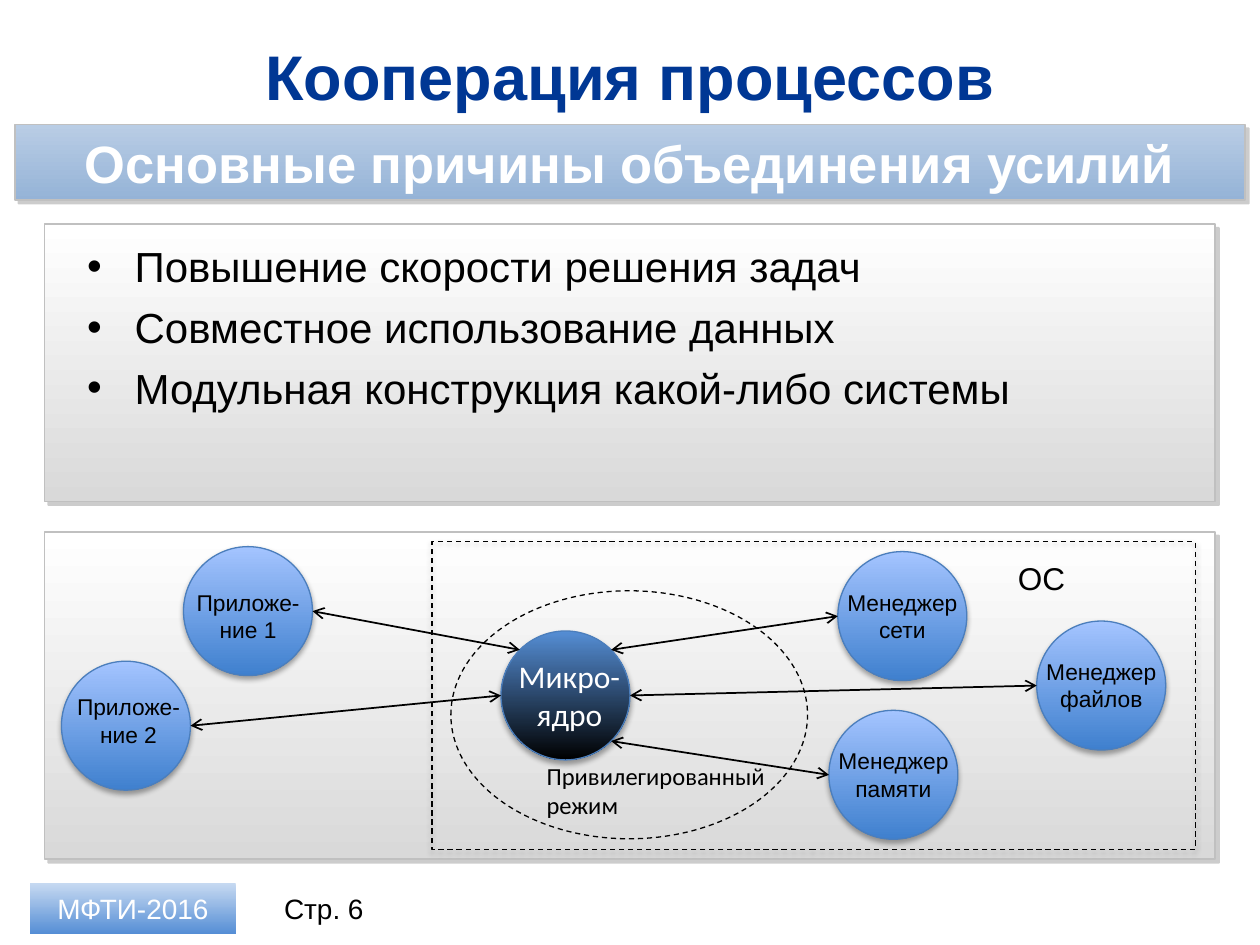
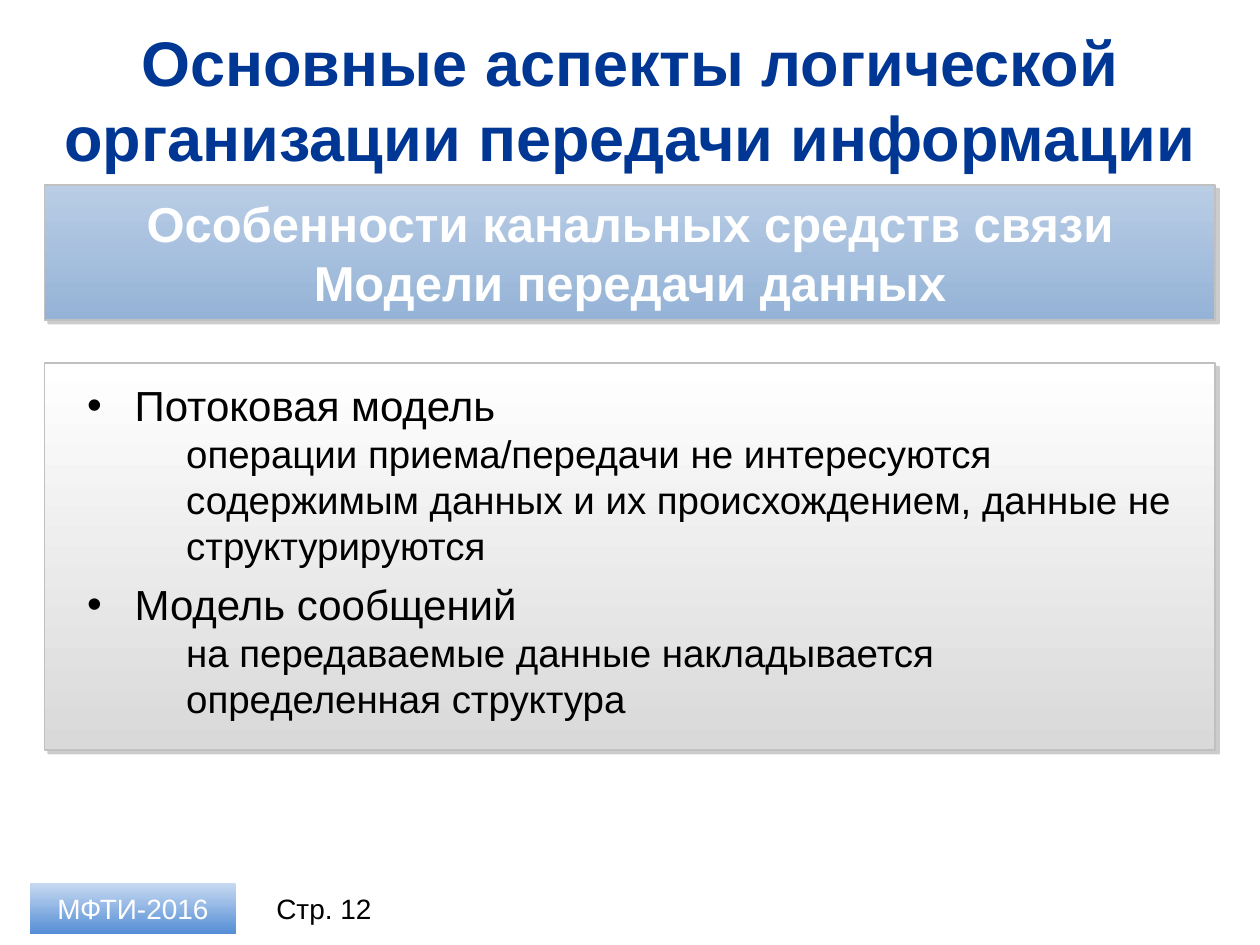
from dataclasses import dataclass
from math import cos, radians, sin
from typing import Any, NamedTuple

from lxml import etree
from pptx import Presentation
from pptx import util as u
from pptx.dml.color import RGBColor
from pptx.enum import dml, shapes, text
from pptx.oxml import ns

NAVY, BLACK, WHITE = "003794", "000000", "FFFFFF"
HEADER_GRAD = ("B9CDE5", "95B3D7")
PANEL_GRAD = ("FFFFFF", "D9D9D9")
BADGE_GRAD = ("C6D9F1", "558ED5")
NODE_GRAD = ("A4C4FF", "3F80CE")
KERNEL_GRAD = ("558ED5", "000000")
PANEL_LINE, NODE_LINE = "C0C0C0", "4B7EBC"
PANEL_LEFT, PANEL_WIDTH = 0.9, 23.6
RADIUS = 1.3
CENTER, LEFT = text.PP_ALIGN.CENTER, text.PP_ALIGN.LEFT


class Box(NamedTuple):
    left: float
    top: float
    width: float
    height: float


class Font(NamedTuple):
    size: float
    color: str = BLACK
    bold: bool = False
    name: str = "Arial"


class Shadow(NamedTuple):
    color: str
    alpha: int
    blur: float
    dist: float
    angle: int


class Item(NamedTuple):
    words: str
    sub: bool = False


@dataclass(frozen=True)
class Node:
    x: float
    y: float
    lines: tuple[str, ...]
    grad: tuple[str, str] = NODE_GRAD
    font: Font = Font(13)
    dx: float = 0
    dy: float = 0

    def edge(self, angle: float) -> tuple[float, float]:
        a = radians(angle)
        return self.x + RADIUS * cos(a), self.y + RADIUS * sin(a)


@dataclass(frozen=True)
class Link:
    kernel_angle: float
    node: Node
    node_angle: float


PANEL_SHADOW = Shadow("808080", 40, 0, 3, 45)
NODE_SHADOW = Shadow("000000", 35, 3.1, 1.8, 90)

KERNEL = Node(11.4, 14.02, ("Микро-", "ядро"), KERNEL_GRAD, Font(18, WHITE, name="Calibri"), 0.08)
NETWORK = Node(18.19, 12.42, ("Менеджер сети",))
FILES = Node(22.2, 13.82, ("Менеджер файлов",))
MEMORY = Node(18.01, 15.62, ("Менеджер памяти",))
APP1 = Node(5, 12.32, ("Приложе-ние 1",), dy=0.1)
APP2 = Node(2.54, 14.63, ("Приложе-ние 2",), dx=0.05, dy=-0.1)
NODES = (KERNEL, NETWORK, FILES, MEMORY, APP1, APP2)
LINKS = (
    Link(-45, NETWORK, 180),
    Link(0, FILES, 180),
    Link(45, MEMORY, 180),
    Link(-135, APP1, 0),
    Link(180, APP2, 0),
)


def rgb(value: str) -> RGBColor:
    return RGBColor.from_string(value)


def cm(values: Any) -> list[int]:
    return [u.Cm(v) for v in values]


def add(parent: Any, tag: str, **attrs: Any) -> Any:
    return etree.SubElement(parent, ns.qn(tag), {k: str(v) for k, v in attrs.items()})


def add_run(p: Any, words: str, font: Font) -> None:
    r = p.add_run()
    r.text = words
    r.font.name = font.name
    r.font.size = u.Pt(font.size)
    r.font.bold = font.bold
    r.font.color.rgb = rgb(font.color)


def write(tf: Any, lines: tuple[str, ...], font: Font, align: Any = CENTER,
          anchor: Any = text.MSO_ANCHOR.MIDDLE) -> None:
    tf.word_wrap = True
    tf.vertical_anchor = anchor
    for i, line in enumerate(lines):
        p = tf.add_paragraph() if i else tf.paragraphs[0]
        p.alignment = align
        add_run(p, line, font)


def place(sp: Any, box: Box) -> None:
    sp.left, sp.top, sp.width, sp.height = cm(box)


def add_text(s: Any, box: Box, lines: tuple[str, ...], font: Font, align: Any = CENTER,
             anchor: Any = text.MSO_ANCHOR.TOP) -> None:
    write(s.shapes.add_textbox(*cm(box)).text_frame, lines, font, align, anchor)


def add_box(s: Any, box: Box, grad: tuple[str, str] | None = None, line: str | None = None,
            width: float = 0.75, shadow: Shadow | None = None, oval: bool = False,
            dashed: bool = False) -> Any:
    kind = shapes.MSO_SHAPE.OVAL if oval else shapes.MSO_SHAPE.RECTANGLE
    sp = s.shapes.add_shape(kind, *cm(box))
    if grad:
        sp.fill.gradient()
        sp.fill.gradient_angle = 270
        for stop, color in zip(sp.fill.gradient_stops, grad):
            stop.color.rgb = rgb(color)
    else:
        sp.fill.background()
    if line:
        sp.line.color.rgb = rgb(line)
        sp.line.width = u.Pt(width)
    else:
        sp.line.fill.background()
    if dashed:
        sp.line.dash_style = dml.MSO_LINE.DASH
    sp.shadow.inherit = False
    if shadow:
        effects = sp.element.spPr.find(ns.qn("a:effectLst"))
        outer = add(effects, "a:outerShdw", blurRad=u.Pt(shadow.blur), dist=u.Pt(shadow.dist),
                    dir=shadow.angle * 60000, algn="ctr", rotWithShape=0)
        color = add(outer, "a:srgbClr", val=shadow.color)
        add(color, "a:alpha", val=shadow.alpha * 1000)
    return sp


def add_panel(s: Any, top: float, height: float) -> None:
    add_box(s, Box(PANEL_LEFT, top, PANEL_WIDTH, height), PANEL_GRAD, PANEL_LINE, 1, PANEL_SHADOW)


def add_header(s: Any, box: Box, lines: tuple[str, ...], size: float) -> None:
    tf = add_box(s, box, HEADER_GRAD, PANEL_LINE, 1, PANEL_SHADOW).text_frame
    tf.margin_left = tf.margin_right = u.Cm(0.6)
    tf.margin_top = tf.margin_bottom = u.Cm(0.1)
    write(tf, lines, Font(size, WHITE, True))


def add_list(s: Any, box: Box, items: tuple[Item, ...]) -> None:
    body = s.placeholders[1]
    place(body, box)
    body.element.getparent().append(body.element)
    tf = body.text_frame
    tf.word_wrap = True
    tf.auto_size = text.MSO_AUTO_SIZE.NONE
    tf.vertical_anchor = text.MSO_ANCHOR.TOP
    for i, item in enumerate(items):
        p = tf.add_paragraph() if i else tf.paragraphs[0]
        pPr = p._p.get_or_add_pPr()
        pPr.set("marL", str(u.Cm(2 if item.sub else 0.96)))
        pPr.set("indent", str(u.Cm(0 if item.sub else -0.96)))
        if item.sub:
            add(pPr, "a:buNone")
        else:
            add(pPr, "a:buFont", typeface="Arial")
            add(pPr, "a:buChar", char="•")
        p.space_before = u.Pt(6 if i and not item.sub else 0)
        add_run(p, item.words, Font(22 if item.sub else 24))


def add_node(s: Any, node: Node) -> None:
    circle = Box(node.x - RADIUS, node.y - RADIUS, 2 * RADIUS, 2 * RADIUS)
    add_box(s, circle, node.grad, NODE_LINE, shadow=NODE_SHADOW, oval=True)
    width, height = (2.74, 1.8) if node is KERNEL else (3, 1.37)
    label = Box(node.x + node.dx - width / 2, node.y + node.dy - height / 2, width, height)
    add_text(s, label, node.lines, node.font)


def add_link(s: Any, link: Link) -> None:
    ends = cm(KERNEL.edge(link.kernel_angle) + link.node.edge(link.node_angle))
    cx = s.shapes.add_connector(shapes.MSO_CONNECTOR.STRAIGHT, *ends)
    cx.line.color.rgb = rgb(BLACK)
    cx.line.width = u.Pt(1)
    ln = cx.line._get_or_add_ln()
    for tag in ("a:headEnd", "a:tailEnd"):
        add(ln, tag, type="arrow")
    add(cx.element.spPr, "a:effectLst")


def new_slide(prs: Any, title: str, title_height: float, page: int) -> Any:
    s = prs.slides.add_slide(prs.slide_layouts[1])
    place(s.shapes.title, Box(PANEL_LEFT, 0.66, PANEL_WIDTH, title_height))
    tf = s.shapes.title.text_frame
    tf.auto_size = text.MSO_AUTO_SIZE.NONE
    write(tf, (title,), Font(36, NAVY, True))
    add_text(s, Box(5.16, 17.81, 2.74, 1.02), (f"Стр. {page}",), Font(16),
             anchor=text.MSO_ANCHOR.MIDDLE)
    badge = add_box(s, Box(0.61, 17.81, 4.14, 1.02), BADGE_GRAD)
    write(badge.text_frame, ("МФТИ-2016",), Font(16, WHITE))
    return s


def build_cooperation(prs: Any) -> None:
    s = new_slide(prs, "Кооперация процессов", 1.73, 6)
    add_header(s, Box(0.3, 2.51, 24.8, 1.52), ("Основные причины объединения усилий",), 30)
    add_panel(s, 4.52, 5.59)
    add_list(s, Box(1.5, 4.72, 22.2, 3.76), (
        Item("Повышение скорости решения задач"),
        Item("Совместное использование данных"),
        Item("Модульная конструкция какой-либо системы"),
    ))
    add_panel(s, 10.72, 6.6)
    for node in NODES:
        add_node(s, node)
    add_box(s, Box(9.09, 11.91, 7.19, 5), line=BLACK, oval=True, dashed=True)
    add_text(s, Box(10.77, 15.21, 5.59, 1.45), ("Привилегированный режим",),
             Font(14, name="Calibri"), LEFT)
    add_box(s, Box(8.71, 10.92, 15.39, 6.2), line=BLACK, shadow=NODE_SHADOW, dashed=True)
    add_text(s, Box(20.27, 11.15, 2, 1.02), ("ОС",), Font(18), LEFT)
    for link in LINKS:
        add_link(s, link)


def build_models(prs: Any) -> None:
    s = new_slide(prs, "Основные аспекты логической организации передачи информации", 2.67, 12)
    add_header(s, Box(PANEL_LEFT, 3.73, PANEL_WIDTH, 2.72),
               ("Особенности канальных средств связи", "Модели передачи данных"), 28)
    add_panel(s, 7.32, 7.8)
    add_list(s, Box(1.5, 7.52, 22.6, 7.21), (
        Item("Потоковая модель"),
        Item("операции приема/передачи не интересуются содержимым данных и их происхождением, "
             "данные не структурируются", True),
        Item("Модель сообщений"),
        Item("на передаваемые данные накладывается определенная структура", True),
    ))


def main() -> None:
    prs = Presentation()
    prs.slide_width, prs.slide_height = u.Cm(25.4), u.Cm(19.05)
    build_cooperation(prs)
    build_models(prs)
    prs.save("out.pptx")


if __name__ == "__main__":
    main()
